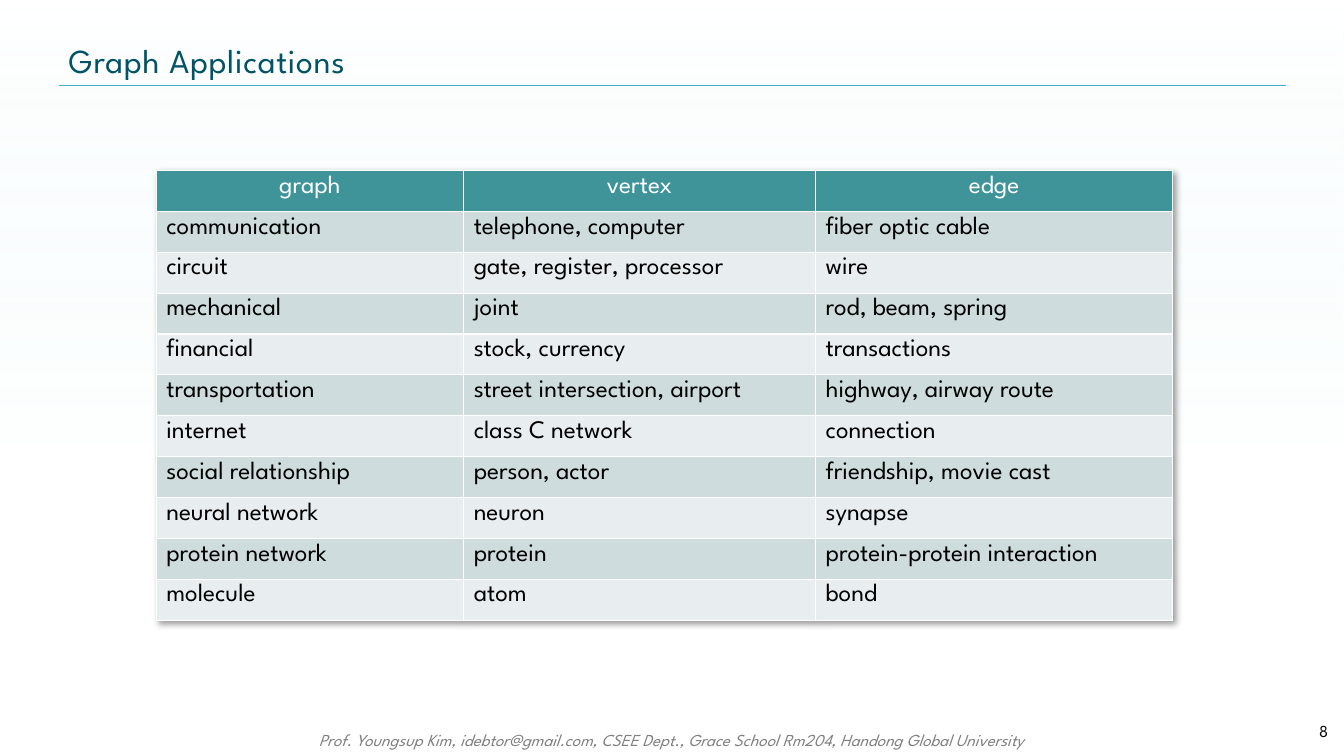
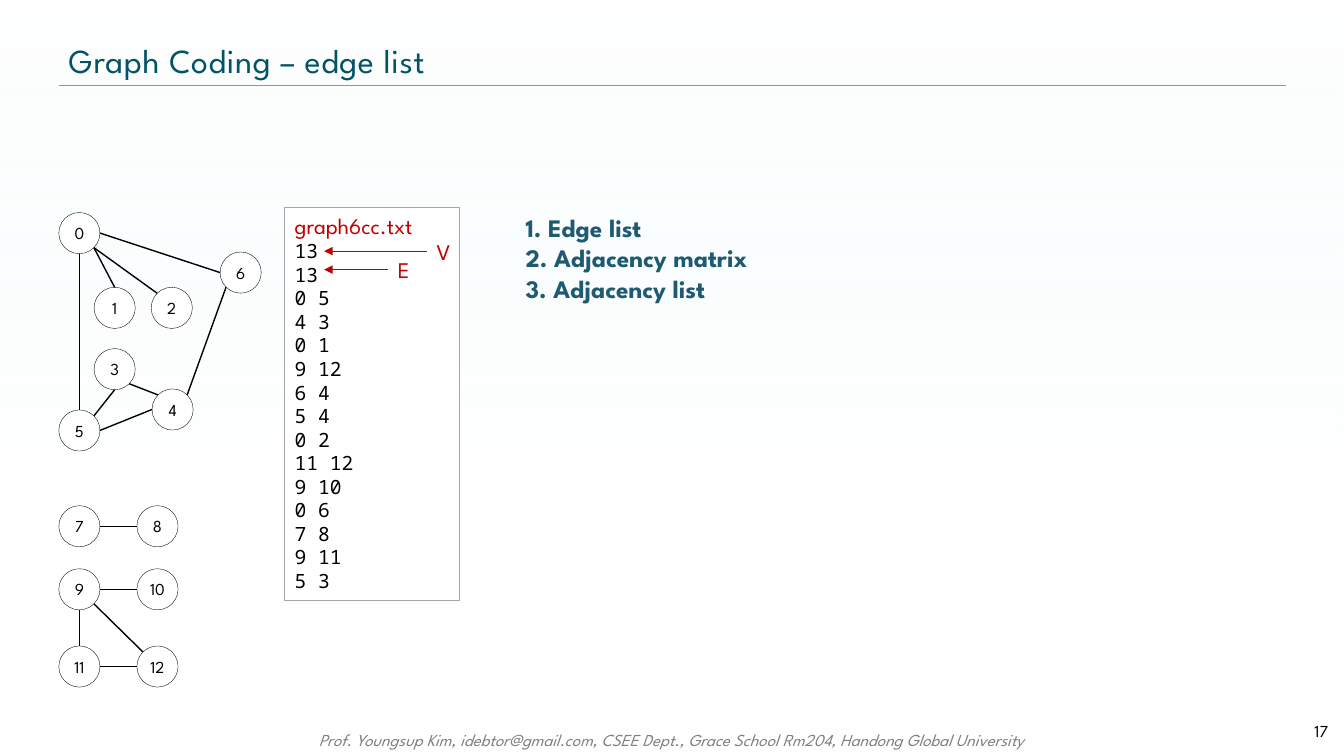
from dataclasses import dataclass
from math import cos, pi, sin

from lxml import etree
from pptx import Presentation
from pptx import util as u
from pptx.dml.color import RGBColor
from pptx.enum import shapes, text
from pptx.oxml.ns import qn

COLS, ROWS = 160, 90          # square grid cells, twelve to the inch
CELL = u.Inches(1) / 12
MID, LEFT, RIGHT = text.PP_ALIGN.CENTER, text.PP_ALIGN.LEFT, text.PP_ALIGN.RIGHT
RECT = shapes.MSO_SHAPE.RECTANGLE
OVAL = shapes.MSO_SHAPE.OVAL
DISC = 4.9                    # diameter of a graph node


@dataclass(frozen=True)
class Theme:
    font: str = "League Spartan"
    mono: str = "Noto Sans Mono"
    ink: str = "000000"
    white: str = "FFFFFF"
    mist: str = "D9F3F4"
    title: str = "005466"
    rule: str = "4FADD1"
    gray: str = "808080"
    frame: str = "A6A6A6"
    red: str = "C00000"
    navy: str = "1E5B72"
    head: str = "3F949A"
    bands: tuple = ("CFDCDE", "E8EEEF")
    big: int = 24
    body: int = 18
    label: int = 16
    code: int = 14
    small: int = 12


def size(n):
    return u.Emu(round(n * CELL))


def rgb(tone):
    return RGBColor.from_string(tone)


class Deck:
    def __init__(self, theme):
        self.theme = theme
        self.prs = Presentation()
        self.prs.slide_width, self.prs.slide_height = size(COLS), size(ROWS)

    # Shared frame of every slide
    def page(self, title, num):
        t = self.theme
        self.slide = self.prs.slides.add_slide(self.prs.slide_layouts[6])
        self.wash()
        self.label("Prof. Youngsup Kim, idebtor@gmail.com, CSEE Dept., "
                   "Grace School Rm204, Handong Global University",
                   (23.8, 86.3, 112.4, 3.6), t.small, t.gray, MID, italic=True)
        self.line((7, 10.1), (153.1, 10.1), t.rule, 0.25)
        head = self.label(title, (7, 4.1, 146.1, 6), t.big, t.title, mid=True)
        for run in head.text_frame.paragraphs[0].runs:
            run.font._element.set("spc", "50")
        self.label(str(num), (145.3, 84.6, 14, 4.8), t.small, t.ink, RIGHT, mid=True)

    def wash(self):
        t = self.theme
        back = self.shape(RECT, (0, 0, COLS, ROWS), t.white)
        back.fill.gradient()
        back.fill.gradient_angle = 270
        stops = back.fill.gradient_stops
        for stop, tone, place in zip(stops, (t.mist, t.white), (0, 0.61)):
            stop.color.rgb, stop.position = rgb(tone), place
        grad = back._element.spPr.find(qn("a:gradFill"))
        for clr, part in zip(grad.iter(qn("a:srgbClr")), (0, 40000)):
            etree.SubElement(clr, qn("a:alpha"), val=str(part))

    # Text
    def style(self, para, pts, tone, align=LEFT, font=None, bold=False, italic=False):
        para.alignment = align
        for run in para.runs:
            f = run.font
            f.name, f.size = font or self.theme.font, u.Pt(pts)
            f.bold, f.italic = bold, italic
            f.color.rgb = rgb(tone)

    def label(self, words, box, pts, tone, align=LEFT, mid=False, **look):
        item = self.slide.shapes.add_textbox(*map(size, box))
        frame = item.text_frame
        frame.word_wrap = True
        if mid:
            frame.vertical_anchor = text.MSO_ANCHOR.MIDDLE
        frame.text = words
        for para in frame.paragraphs:
            self.style(para, pts, tone, align, **look)
        return item

    # Shapes and lines
    def shape(self, kind, box, fill, edge=None, width=0.25):
        item = self.slide.shapes.add_shape(kind, *map(size, box))
        item.shadow.inherit = False
        item.fill.solid()
        item.fill.fore_color.rgb = rgb(fill)
        if edge:
            item.line.color.rgb = rgb(edge)
            item.line.width = u.Pt(width)
        else:
            item.line.fill.background()
        return item

    def line(self, start, end, tone, width, arrow=False):
        item = self.slide.shapes.add_connector(
            shapes.MSO_CONNECTOR.STRAIGHT, *map(size, start + end))
        item.line.color.rgb = rgb(tone)
        item.line.width = u.Pt(width)
        props = item._element.spPr
        if arrow:
            etree.SubElement(props.find(qn("a:ln")), qn("a:tailEnd"), type="triangle")
        etree.SubElement(props, qn("a:effectLst"))
        return item

    # Graph: eight sites per node, counted counterclockwise from the top
    def node(self, name, x, y):
        t = self.theme
        frame = self.shape(OVAL, (x, y, DISC, DISC), t.white, t.ink).text_frame
        frame.margin_left = frame.margin_right = 0
        frame.margin_top = frame.margin_bottom = 0
        frame.vertical_anchor = text.MSO_ANCHOR.MIDDLE
        frame.word_wrap = True
        frame.text = str(name)
        self.style(frame.paragraphs[0], t.small, t.ink, MID)

    def graph(self, nodes, edges):
        def site(name, k):
            x, y = nodes[name]
            turn, r = k * pi / 4, DISC / 2
            return x + r - r * sin(turn), y + r - r * cos(turn)

        for name, (x, y) in nodes.items():
            self.node(name, x, y)
        for a, i, b, j in edges:
            self.line(site(a, i), site(b, j), self.theme.ink, 1)

    # File listing with a heading
    def listing(self, name, rows, box):
        t = self.theme
        frame = self.shape(RECT, box, t.white, t.frame, 0.75).text_frame
        frame.vertical_anchor = text.MSO_ANCHOR.TOP
        frame.word_wrap = True
        frame.text = "\n".join([name] + rows)
        first, *rest = frame.paragraphs
        self.style(first, t.label, t.red)
        for para in rest:
            self.style(para, t.code, t.ink, font=t.mono)

    def callout(self, words, box, tip):
        t = self.theme
        item = self.label(words, box, t.label, t.red)
        y = box[1] + box[3] / 2
        self.line((box[0], y), (tip, y), t.red, 0.25, True).begin_connect(item, 1)

    # Banded table with a soft shadow
    def table(self, rows, x, y, widths, high):
        t = self.theme
        item = self.slide.shapes.add_table(
            len(rows), len(widths),
            *map(size, (x, y, sum(widths), high * len(rows)))).table
        for col, wide in zip(item.columns, widths):
            col.width = size(wide)
        for i, row in enumerate(rows):
            item.rows[i].height = size(high)
            for j, words in enumerate(row):
                cell = item.cell(i, j)
                cell.fill.solid()
                cell.fill.fore_color.rgb = rgb(t.bands[(i - 1) % 2] if i else t.head)
                cell.text_frame.text = words
                self.style(cell.text_frame.paragraphs[0], t.body,
                           t.ink if i else t.white, LEFT if i else MID)
        fx = etree.Element(qn("a:effectLst"))
        shade = etree.SubElement(fx, qn("a:outerShdw"), blurRad="50800",
                                 dist="38100", dir="2700000", algn="tl")
        tone = etree.SubElement(shade, qn("a:srgbClr"), val=t.ink)
        etree.SubElement(tone, qn("a:alpha"), val="40000")
        item._tbl.tblPr.insert(0, fx)


USES = [
    ("graph", "vertex", "edge"),
    ("communication", "telephone, computer", "fiber optic cable"),
    ("circuit", "gate, register, processor", "wire"),
    ("mechanical", "joint", "rod, beam, spring"),
    ("financial", "stock, currency", "transactions"),
    ("transportation", "street intersection, airport", "highway, airway route"),
    ("internet", "class C network", "connection"),
    ("social relationship", "person, actor", "friendship, movie cast"),
    ("neural network", "neuron", "synapse"),
    ("protein network", "protein", "protein-protein interaction"),
    ("molecule", "atom", "bond"),
]

NODES = {
    0: (7, 25.3), 1: (11.2, 34.2), 2: (18, 34.2), 3: (11.2, 41.5),
    4: (18.1, 46.3), 5: (7, 48.8), 6: (26.2, 30),
    7: (7, 60.2), 8: (16.3, 60.2),
    9: (7, 67.7), 10: (16.3, 67.7), 11: (7, 76.9), 12: (16.3, 76.9),
}

# Each edge: node, its site, other node, its site
EDGES = [
    (0, 4, 5, 0), (0, 5, 2, 1), (0, 5, 1, 0), (6, 2, 0, 6), (6, 3, 4, 7),
    (4, 2, 5, 6), (3, 4, 5, 7), (3, 5, 4, 1), (8, 2, 7, 6),
    (10, 2, 9, 6), (12, 1, 9, 5), (12, 2, 11, 6), (9, 4, 11, 0),
]

PAIRS = ["13", "13", "0 5", "4 3", "0 1", "9 12", "6 4", "5 4", "0 2",
         "11 12", "9 10", "0 6", "7 8", "9 11", "5 3"]


def main():
    theme = Theme()
    deck = Deck(theme)

    # Applications
    deck.page("Graph Applications", 8)
    deck.table(USES, 18.6, 20.3, (36.6, 41.9, 42.5), 4.87)

    # Edge list
    deck.page("Graph Coding – edge list", 17)
    deck.graph(NODES, EDGES)
    deck.listing("graph6cc.txt", PAIRS, (33.9, 24.7, 20.8, 46.8))
    deck.callout("E", (46.2, 29.9, 3.1, 4.4), 38.6)
    deck.callout("V", (50.8, 27.7, 4, 4.4), 38.6)
    deck.label("1. Edge list\n2. Adjacency matrix\n3. Adjacency list",
               (61.4, 24.7, 47.3, 12.1), theme.body, theme.navy, bold=True)

    deck.prs.save("out.pptx")


if __name__ == "__main__":
    main()
